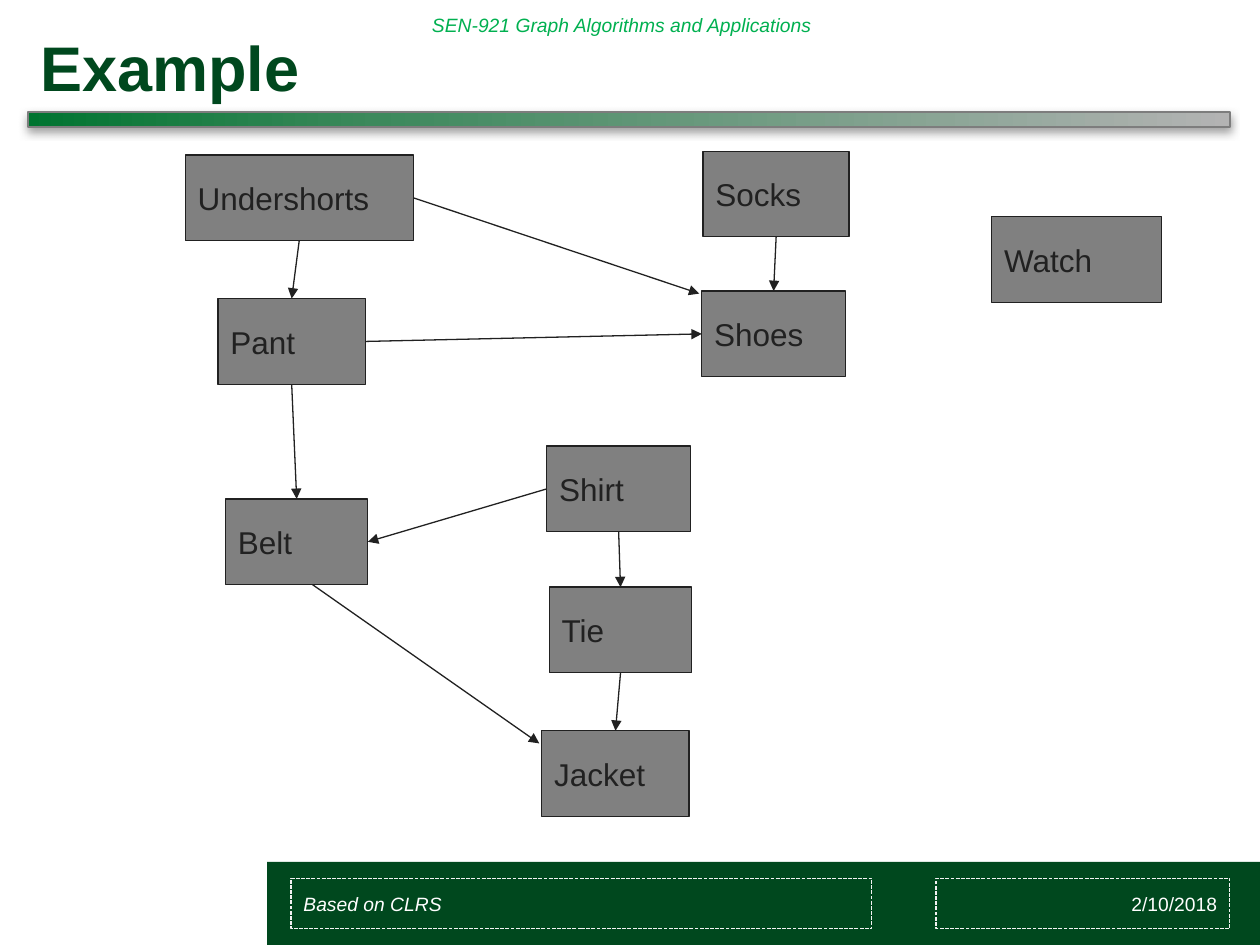
from copy import deepcopy
from dataclasses import dataclass

from lxml.etree import SubElement
from pptx import Presentation
from pptx.dml.color import RGBColor
from pptx.enum.dml import MSO_LINE
from pptx.enum.shapes import MSO_CONNECTOR, MSO_SHAPE
from pptx.enum.text import MSO_ANCHOR, MSO_AUTO_SIZE, PP_ALIGN
from pptx.oxml.ns import qn
from pptx.util import Inches, Pt

COLS, ROWS = 10, 7.5
WIDTH, HEIGHT = Inches(10), Inches(7.5)
TOP, LEFT, BOTTOM, RIGHT = range(4)
BOX_H = 0.68


@dataclass(frozen=True)
class Theme:
    font: str = "Arial"
    deep: str = "00481E"
    leaf: str = "00B050"
    gray: str = "808080"
    ink: str = "212121"
    rim: str = "7D7D7D"
    dash: str = "F2F2F2"
    white: str = "FFFFFF"
    fade: tuple = ((0, "007430"), (0.29, "3C895C"), (1, "B3B3B3"))
    title: int = 36
    body: int = 18
    small: int = 11
    thin: float = 0.75


THEME = Theme()

# name: left column, top row, width in columns
CLOTHES = {
    "Undershorts": (1.47, 1.23, 1.81),
    "Watch": (7.87, 1.72, 1.35),
    "Socks": (5.58, 1.2, 1.16),
    "Jacket": (4.3, 5.8, 1.17),
    "Tie": (4.36, 4.66, 1.13),
    "Shirt": (4.34, 3.54, 1.14),
    "Belt": (1.79, 3.96, 1.13),
    "Shoes": (5.57, 2.31, 1.14),
    "Pant": (1.73, 2.37, 1.17),
}

# each end is a (name, side) pair or a (column, row) point
ARROWS = [
    (("Socks", BOTTOM), ("Shoes", TOP)),
    (("Shirt", BOTTOM), ("Tie", TOP)),
    (("Tie", BOTTOM), ("Jacket", TOP)),
    (("Undershorts", BOTTOM), ("Pant", TOP)),
    (("Pant", BOTTOM), ("Belt", TOP)),
    (("Shirt", LEFT), ("Belt", RIGHT)),
    ((2.48, 4.64), (4.28, 5.9)),
    (("Pant", RIGHT), ("Shoes", LEFT)),
    (("Undershorts", RIGHT), (5.55, 2.33)),
]


def grid(col, row):
    return int(WIDTH * col / COLS), int(HEIGHT * row / ROWS)


def place(at):
    return *grid(*at[:2]), *grid(*at[2:])


def rgb(code):
    return RGBColor.from_string(code)


def write(shape, text, color, size, align=PP_ALIGN.LEFT, **extra):
    frame = shape.text_frame
    style = {"word_wrap": True, "auto_size": MSO_AUTO_SIZE.NONE,
             "vertical_anchor": MSO_ANCHOR.MIDDLE}
    for key, value in style.items():
        setattr(frame, key, value)
    line = frame.paragraphs[0]
    line.alignment = align
    run = line.add_run()
    run.text = text
    look = {"name": THEME.font, "size": Pt(size), **extra}
    for key, value in look.items():
        setattr(run.font, key, value)
    run.font.color.rgb = rgb(color)


def add_rect(slide, at, fill=None, edge=None, width=THEME.thin):
    shape = slide.shapes.add_shape(MSO_SHAPE.RECTANGLE, *place(at))
    shape.shadow.inherit = False
    if fill:
        shape.fill.solid()
        shape.fill.fore_color.rgb = rgb(fill)
    else:
        shape.fill.background()
    if edge:
        shape.line.color.rgb = rgb(edge)
        shape.line.width = Pt(width)
    else:
        shape.line.fill.background()
    return shape


def add_bar(slide, at):
    """Add the title rule with its three-stop fade and soft shadow."""
    bar = add_rect(slide, at, edge=THEME.rim, width=1)
    bar.fill.gradient()
    bar.fill.gradient_angle = 0
    stops = bar.element.spPr.find(".//" + qn("a:gsLst"))
    stops.insert(1, deepcopy(stops[0]))
    for stop, (share, color) in zip(bar.fill.gradient_stops, THEME.fade):
        stop.position = share
        stop.color.rgb = rgb(color)
    effect = bar.element.spPr.find(qn("a:effectLst"))
    shade = SubElement(effect, qn("a:outerShdw"), blurRad=str(Pt(5)),
                       dist=str(Pt(2)), dir="5400000", rotWithShape="0")
    tone = SubElement(shade, qn("a:srgbClr"), val=THEME.gray)
    SubElement(tone, qn("a:alpha"), val="75000")


def add_arrow(slide, boxes, start, end):
    points = [(0, 0) if end_at[0] in boxes else grid(*end_at)
              for end_at in (start, end)]
    arrow = slide.shapes.add_connector(
        MSO_CONNECTOR.STRAIGHT, *points[0], *points[1])
    for join, (name, side) in ((arrow.begin_connect, start),
                               (arrow.end_connect, end)):
        if name in boxes:
            join(boxes[name], side)
    arrow.line.color.rgb = rgb(THEME.ink)
    arrow.line.width = Pt(THEME.thin)
    SubElement(arrow.line._get_or_add_ln(), qn("a:tailEnd"), type="triangle")
    SubElement(arrow._element.spPr, qn("a:effectLst"))


def add_frame(slide, at, text, **style):
    frame = add_rect(slide, at, edge=THEME.dash)
    frame.line.dash_style = MSO_LINE.SQUARE_DOT
    write(frame, text, THEME.white, THEME.small, **style)


def set_title(slide, at, text):
    title = slide.shapes.title
    for key, value in zip(("left", "top", "width", "height"), place(at)):
        setattr(title, key, value)
    write(title, text, THEME.deep, THEME.title, bold=True)


def main():
    deck = Presentation()
    deck.slide_width, deck.slide_height = WIDTH, HEIGHT
    slide = deck.slides.add_slide(deck.slide_layouts[5])

    add_rect(slide, (2.12, 6.84, 7.88, 0.66), THEME.deep)
    head = slide.shapes.add_textbox(*place((3.33, 0, 4.61, 0.4)))
    write(head, "SEN-921 Graph Algorithms and Applications",
          THEME.leaf, THEME.small, italic=True)
    add_bar(slide, (0.22, 0.89, 9.54, 0.12))
    set_title(slide, (0.22, 0.16, 9.54, 0.73), "Example")

    boxes = {}
    for name, at in CLOTHES.items():
        boxes[name] = add_rect(slide, (*at, BOX_H), THEME.gray, THEME.ink)
        write(boxes[name], name, THEME.ink, THEME.body)
    for start, end in ARROWS:
        add_arrow(slide, boxes, start, end)

    add_frame(slide, (7.43, 6.97, 2.33, 0.4), "2/10/2018",
              align=PP_ALIGN.RIGHT)
    add_frame(slide, (2.31, 6.97, 4.61, 0.4), "Based on CLRS", italic=True)
    deck.save("out.pptx")


if __name__ == "__main__":
    main()
